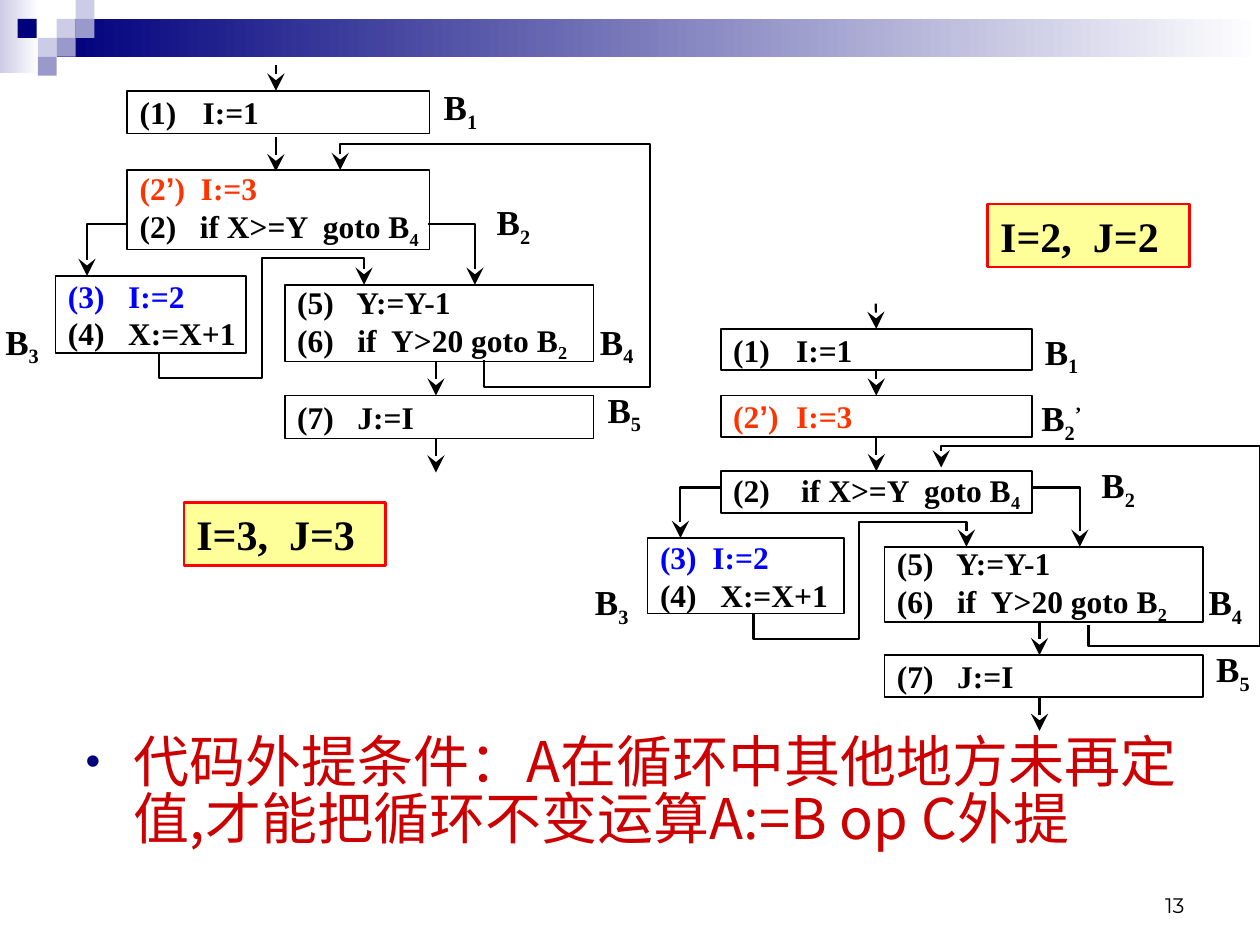
from dataclasses import dataclass

from lxml import etree
from pptx import Presentation
from pptx.dml.color import RGBColor
from pptx.enum.shapes import MSO_CONNECTOR, MSO_SHAPE
from pptx.enum.text import MSO_ANCHOR, MSO_AUTO_SIZE, PP_ALIGN
from pptx.oxml.ns import qn
from pptx.util import Inches, Pt

RECT, LINE = MSO_SHAPE.RECTANGLE, MSO_CONNECTOR.STRAIGHT
LEFT, MID, RIGHT = PP_ALIGN.LEFT, PP_ALIGN.CENTER, PP_ALIGN.RIGHT
TOP, CENTRE, BASE = MSO_ANCHOR.TOP, MSO_ANCHOR.MIDDLE, MSO_ANCHOR.BOTTOM
CELL = 0.1


@dataclass(frozen=True)
class Theme:
    black: str = "000000"
    white: str = "FFFFFF"
    navy: str = "00007D"
    mid: str = "9999CC"
    pale: str = "CCCCE6"
    orange: str = "FF3300"
    blue: str = "0000FF"
    red: str = "FF0000"
    rule: str = "CC0000"
    yellow: str = "FFFF99"
    serif: str = "Times New Roman"
    sans: str = "Arial"
    han: str = "Noto Sans CJK SC"
    page: str = "Montserrat"
    code: float = 18
    label: float = 20
    note: float = 24
    body: float = 32
    small: float = 12


T = Theme()


@dataclass(frozen=True)
class Run:
    text: str
    ink: str = ""
    face: str = ""
    shift: int = 0


@dataclass(frozen=True)
class Box:
    x: float
    y: float
    w: float
    h: float
    lines: tuple


@dataclass(frozen=True)
class Label:
    x: float
    y: float
    sub: str
    mark: str = ""


@dataclass(frozen=True)
class Flow:
    boxes: tuple
    labels: tuple
    drops: tuple
    routes: tuple


def grid(*cells: float) -> list:
    return [Inches(cell * CELL) for cell in cells]


def write(shape, lines, size=T.code, ink=T.black, face=T.serif, bold=True,
          align=LEFT, anchor=CENTRE, wrap=True, right=0.1, space=None) -> None:
    frame = shape.text_frame
    frame.word_wrap, frame.vertical_anchor = wrap, anchor
    frame.auto_size = MSO_AUTO_SIZE.NONE
    frame.margin_left, frame.margin_right = Inches(0.1), Inches(right)
    frame.margin_top = frame.margin_bottom = Inches(0.05)
    for i, line in enumerate(lines):
        para = frame.add_paragraph() if i else frame.paragraphs[0]
        para.alignment = align
        if space:
            para.line_spacing = space
        for part in line:
            run = para.add_run()
            run.text = part.text
            font = run.font
            font.size, font.bold = Pt(size), bold
            font.name = part.face or face
            font.color.rgb = RGBColor.from_string(part.ink or ink)
            props = font._element
            etree.SubElement(props, qn("a:ea"), typeface=part.face or face)
            if part.shift:
                props.set("baseline", str(part.shift * 1000))


def block(slide, x, y, w, h, fill="", fade="", edge="", width=1.0):
    shape = slide.shapes.add_shape(RECT, *grid(x, y, w, h))
    shape.shadow.inherit = False
    if fade:
        shape.fill.gradient()
        shape.fill.gradient_angle = 0
        for stop, tone in zip(shape.fill.gradient_stops, (fill, fade)):
            stop.color.rgb = RGBColor.from_string(tone)
    elif fill:
        shape.fill.solid()
        shape.fill.fore_color.rgb = RGBColor.from_string(fill)
    else:
        shape.fill.background()
    if edge:
        shape.line.color.rgb = RGBColor.from_string(edge)
        shape.line.width = Pt(width)
    else:
        shape.line.fill.background()
    return shape


def arrow(shape) -> None:
    shape.line.color.rgb = RGBColor.from_string(T.black)
    shape.line.width = Pt(1.25)
    etree.SubElement(shape.line._get_or_add_ln(), qn("a:tailEnd"),
                     type="stealth", w="lg", len="lg")
    etree.SubElement(shape._element.spPr, qn("a:effectLst"))


def drop(slide, shapes, x, y, end, head=None, foot=None) -> None:
    line = slide.shapes.add_connector(LINE, *grid(x, y, x, end))
    if head is not None:
        line.begin_connect(shapes[head], 2)
    if foot is not None:
        line.end_connect(shapes[foot], 0)
    arrow(line)


def route(slide, points) -> None:
    start, *rest = [tuple(grid(*point)) for point in points]
    pen = slide.shapes.build_freeform(*start)
    pen.add_line_segments(rest, close=False)
    shape = pen.convert_to_shape()
    shape.fill.background()
    arrow(shape)


def sub(text: str, num: str) -> tuple:
    return Run(text), Run(num, shift=-25)


def lift(rest: str) -> tuple:
    return (Run("(2", T.orange), Run("’", T.orange, T.sans),
            Run(")" + rest, T.orange))


def chart(slide, flow: Flow) -> None:
    shapes = []
    for box in flow.boxes:
        shape = block(slide, box.x, box.y, box.w, box.h, edge=T.black)
        write(shape, box.lines, right=0)
        shapes.append(shape)
    for tag in flow.labels:
        shape = slide.shapes.add_textbox(*grid(tag.x, tag.y, 3.5, 4))
        line = sub("B", tag.sub)
        if tag.mark:
            line += (Run(tag.mark, shift=30),)
        write(shape, [line], size=T.label, align=MID, wrap=False)
    for args in flow.drops:
        drop(slide, shapes, *args)
    for points in flow.routes:
        route(slide, points)


INIT = ((Run("(1)\tI:=1"),),)
STEP = ((Run("(5)   Y:=Y-1"),), sub("(6)   if  Y>20 goto B", "2"))
LAST = ((Run("(7)   J:=I"),),)
ADD = (Run("(4)   X:=X+1"),)

OLD = Flow(
    (Box(10.1, 7.2, 24, 3.4, INIT),
     Box(10.1, 13.5, 24, 6.3, (lift("  I:=3"), sub("(2)   if X>=Y  goto B", "4"))),
     Box(4.4, 21.9, 15.1, 6.1, ((Run("(3)   I:=2", T.blue),), ADD)),
     Box(22.6, 22.6, 24.5, 6.1, STEP),
     Box(22.6, 31.4, 24.5, 3.4, LAST)),
    (Label(34.8, 6.7, "1"), Label(39, 15.8, "2"), Label(0, 25.3, "3"),
     Label(47.2, 25.3, "4"), Label(47.8, 30.7, "5")),
    ((21.9, 5.2, 7.2), (21.9, 10.9, 13.6), (34.6, 28.7, 31.4), (34.6, 34.8, 37.5)),
    (((10.1, 17.8), (6.9, 17.8), (6.9, 21.9)),
     ((34, 17.8), (37.7, 17.8), (37.7, 22.6)),
     ((38.4, 28.6), (38.4, 30.7), (51.6, 30.7), (51.6, 11.4), (27, 11.4), (27, 13.5)),
     ((12.6, 28), (12.6, 30), (20.8, 30), (20.8, 20.5), (28.9, 20.5), (28.9, 22.6))))

NEW = Flow(
    (Box(57.2, 26.1, 24.7, 3.3, INIT),
     Box(57.2, 31.4, 24.7, 3.3, (lift("\tI:=3"),)),
     Box(57.2, 37.4, 24.7, 3.3, (sub("(2)    if X>=Y  goto B", "4"),)),
     Box(51.4, 42.7, 15.6, 6, ((Run("(3)  I:=2", T.blue),), ADD)),
     Box(70.2, 43.4, 25.3, 6, STEP),
     Box(70.2, 52, 25.3, 3.3, LAST)),
    (Label(82.5, 26.1, "1"), Label(82.5, 31.4, "2", "’"), Label(87, 36.7, "2"),
     Label(46.8, 46, "3"), Label(95.5, 46, "4"), Label(96.1, 51.3, "5")),
    ((69.5, 24.1, 26.1, None, 0), (69.5, 29.4, 31.4, 0, 1),
     (69.5, 34.7, 37.4, 1, 2), (82.5, 49.3, 52), (82.5, 55.3, 58)),
    (((57.2, 38.7), (54, 38.7), (54, 42.7)),
     ((81.8, 38.7), (85.7, 38.7), (85.7, 43.4)),
     ((86.4, 49.6), (86.4, 51.3), (100, 51.3), (100, 35.4), (74.7, 35.4), (74.7, 37.1)),
     ((59.8, 48.7), (59.8, 50.7), (68.2, 50.7), (68.2, 41.4), (76.7, 41.4), (76.7, 43.4))))

TILES = ((4.5, 1.5, T.pale), (6, 0, T.pale), (6, 1.5, T.mid), (3, 3, T.pale),
         (1.4, 1.5, T.navy), (4.5, 3, T.mid), (3, 4.5, T.mid))


def main() -> None:
    deck = Presentation()
    deck.slide_width, deck.slide_height = grid(100, 75)
    slide = deck.slides.add_slide(deck.slide_layouts[1])
    title = slide.shapes.title._element
    title.getparent().remove(title)
    block(slide, 0, 0, 3.1, 5.8, T.pale, T.white)
    block(slide, 4.5, 1.5, 95.5, 3, T.navy, T.white)
    for x, y, tone in TILES:
        block(slide, x, y, 1.5, 1.5, tone)
    for flow in (NEW, OLD):
        chart(slide, flow)
    for x, y, text in ((14.6, 39.9, "I=3,  J=3"), (78.4, 16.2, "I=2,  J=2")):
        note = block(slide, x, y, 16, 5, T.yellow, edge=T.red, width=1.5)
        write(note, [[Run(text)]], size=T.note, anchor=TOP)

    body = slide.placeholders[1]
    body.left, body.top, body.width, body.height = grid(5.8, 58, 92.5, 12.9)
    text = "代码外提条件：A在循环中其他地方未再定值,才能把循环不变运算A:=B op C外提"
    props = body.text_frame.paragraphs[0]._p.get_or_add_pPr()
    props.set("marL", str(Inches(0.38)))
    props.set("indent", str(-Inches(0.38)))
    tint = etree.SubElement(props, qn("a:buClr"))
    etree.SubElement(tint, qn("a:srgbClr"), val=T.navy)
    etree.SubElement(props, qn("a:buSzPct"), val="75000")
    etree.SubElement(props, qn("a:buChar"), char="•")
    write(body, [[Run(text)]], size=T.body, ink=T.rule, face=T.han,
          bold=False, anchor=TOP, space=0.85)
    body.text_frame.paragraphs[0].space_before = Pt(0)

    page = slide.shapes.add_textbox(*grid(71.7, 68.3, 23.3, 5))
    write(page, [[Run("13")]], size=T.small, face=T.page, bold=False,
          align=RIGHT, anchor=BASE)
    deck.save("out.pptx")


if __name__ == "__main__":
    main()
